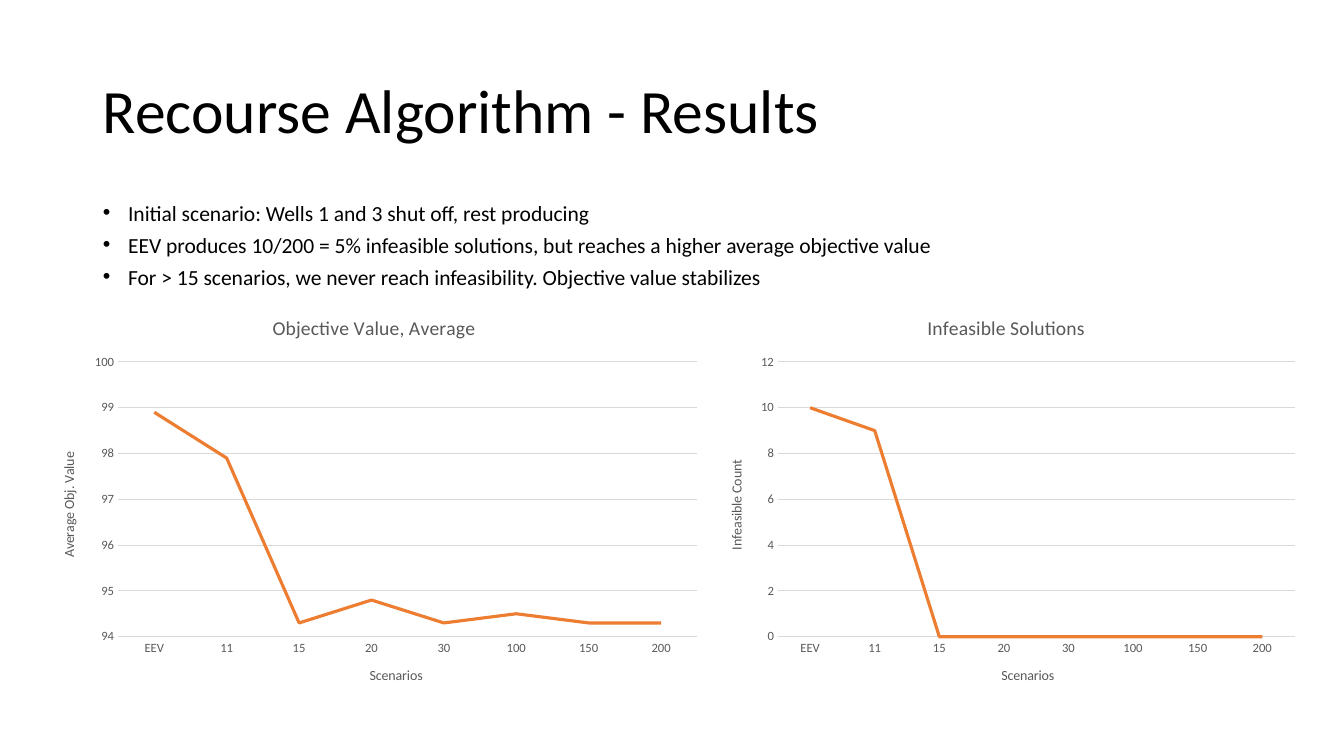
from lxml.etree import SubElement
from pptx import Presentation
from pptx.chart.data import CategoryChartData
from pptx.dml.color import RGBColor
from pptx.enum.chart import XL_CHART_TYPE, XL_TICK_MARK
from pptx.enum.text import MSO_ANCHOR, MSO_AUTO_SIZE, PP_ALIGN
from pptx.oxml.ns import qn
from pptx.util import Inches, Pt

FONT = "Calibri"
BLACK, GRAY, GRID, ORANGE = "000000", "595959", "D9D9D9", "ED7D31"
SCENARIOS = ["EEV", "11", "15", "20", "30", "100", "150", "200"]
PLOT_LAYOUT = {"x": 0.12, "y": 0.16, "w": 0.86, "h": 0.68}
BULLETS = [
    "Initial scenario: Wells 1 and 3 shut off, rest producing",
    "EEV produces 10/200 = 5% infeasible solutions, but reaches a higher average objective value",
    "For > 15 scenarios, we never reach infeasibility. Objective value stabilizes",
]


def color(hex_string):
    """Turn a hex string into a colour."""
    return RGBColor.from_string(hex_string)


def style_font(font, size, hex_string):
    """Set the typeface, size, weight and colour of a font."""
    font.name, font.size, font.bold = FONT, Pt(size), False
    font.color.rgb = color(hex_string)


def style_line(line, hex_string, width):
    """Set the colour and width of a line."""
    line.color.rgb = color(hex_string)
    line.width = Pt(width)


def place(shape, box):
    """Move a placeholder to a box in inches."""
    shape.left, shape.top, shape.width, shape.height = map(Inches, box)
    shape.text_frame.auto_size = MSO_AUTO_SIZE.NONE


def add_title(slide, box, text):
    """Fill and format the title placeholder."""
    title = slide.shapes.title
    place(title, box)
    title.text_frame.text = text
    title.text_frame.vertical_anchor = MSO_ANCHOR.MIDDLE
    paragraph = title.text_frame.paragraphs[0]
    paragraph.alignment = PP_ALIGN.LEFT
    paragraph.line_spacing = 0.9
    style_font(paragraph.runs[0].font, 44, BLACK)


def add_bullets(slide, box, lines):
    """Fill the body placeholder with a bulleted list."""
    body = slide.placeholders[1]
    place(body, box)
    body.text_frame.text = "\n".join(lines)
    for paragraph in body.text_frame.paragraphs:
        paragraph.line_spacing = 0.7
        paragraph.space_before = Pt(10)
        style_font(paragraph.runs[0].font, 15.4, BLACK)
        properties = paragraph._p.get_or_add_pPr()
        properties.set("marL", str(Inches(0.25)))
        properties.set("indent", str(Inches(-0.25)))
        SubElement(properties, qn("a:buFont"), typeface="Arial")
        SubElement(properties, qn("a:buChar"), char="•")


def set_title(owner, text, size):
    """Give a chart or an axis a title."""
    owner.has_title = True
    title = owner.chart_title if hasattr(owner, "chart_title") else owner.axis_title
    title.text_frame.text = text
    style_font(title.text_frame.paragraphs[0].runs[0].font, size, GRAY)


def set_plot_layout(chart):
    """Fix the inner plot area as fractions of the chart."""
    plot_area = chart.element.find(".//" + qn("c:plotArea"))
    for layout in plot_area.findall(qn("c:layout")):
        plot_area.remove(layout)
    layout = SubElement(plot_area, qn("c:layout"))
    plot_area.insert(0, layout)
    manual = SubElement(layout, qn("c:manualLayout"))
    SubElement(manual, qn("c:layoutTarget"), val="inner")
    for name in "xy":
        SubElement(manual, qn(f"c:{name}Mode"), val="edge")
    for name, fraction in PLOT_LAYOUT.items():
        SubElement(manual, qn(f"c:{name}"), val=str(fraction))


def add_line_chart(slide, box, title, value_title, values, minimum=None):
    """Add a line chart of one measure over the scenarios."""
    data = CategoryChartData()
    data.categories = SCENARIOS
    data.add_series("Series 1", values)
    frame = slide.shapes.add_chart(XL_CHART_TYPE.LINE, *map(Inches, box), data)
    chart = frame.chart
    style_font(chart.font, 10, BLACK)
    chart.has_legend = False
    set_title(chart, title, 14)
    set_plot_layout(chart)

    category_axis, value_axis = chart.category_axis, chart.value_axis
    for axis, axis_title in ((category_axis, "Scenarios"), (value_axis, value_title)):
        set_title(axis, axis_title, 10)
        axis.major_tick_mark = axis.minor_tick_mark = XL_TICK_MARK.NONE
        style_font(axis.tick_labels.font, 9, GRAY)
    style_line(category_axis.format.line, GRID, 0.75)
    value_axis.format.line.fill.background()
    value_axis.has_major_gridlines = True
    style_line(value_axis.major_gridlines.format.line, GRID, 0.75)
    if minimum is not None:
        value_axis.minimum_scale = minimum

    plot = chart.plots[0]
    plot.vary_by_categories = False
    series = plot.series[0]
    series.smooth = False
    style_line(series.format.line, ORANGE, 2.25)


def build_results_slide(presentation):
    """Build the slide of recourse algorithm results."""
    slide = presentation.slides.add_slide(presentation.slide_layouts[1])
    add_title(slide, (0.92, 0.4, 11.5, 1.45), "Recourse Algorithm - Results")
    add_bullets(slide, (0.92, 2, 11.5, 0.95), BULLETS)
    add_line_chart(slide, (0.37, 2.95, 6.68, 4.01), "Objective Value, Average",
                   "Average Obj. Value",
                   [98.9, 97.9, 94.3, 94.8, 94.3, 94.5, 94.3, 94.3], minimum=94)
    add_line_chart(slide, (7, 2.95, 5.96, 4.01), "Infeasible Solutions",
                   "Infeasible Count", [10, 9, 0, 0, 0, 0, 0, 0])


presentation = Presentation()
presentation.slide_width, presentation.slide_height = Inches(13.33), Inches(7.5)
build_results_slide(presentation)
presentation.save("out.pptx")
